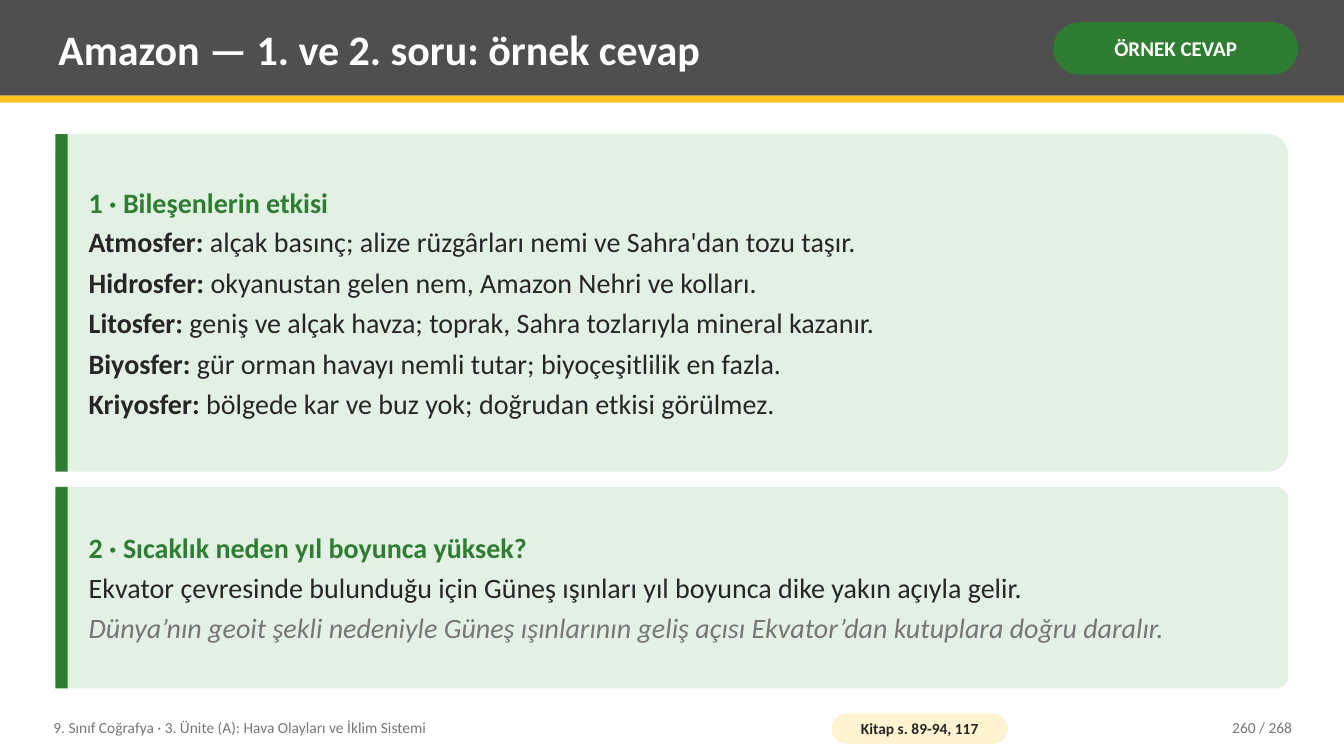
"""Build the sample-answer slide about the Amazon region."""
from lxml.etree import SubElement
from pptx import Presentation
from pptx.dml.color import RGBColor
from pptx.enum.shapes import MSO_SHAPE as Shape
from pptx.enum.text import MSO_ANCHOR as Anchor, MSO_AUTO_SIZE as AutoSize, PP_ALIGN as Align
from pptx.oxml.ns import qn
from pptx.util import Pt

WHITE = RGBColor(0xFF, 0xFF, 0xFF)
CHARCOAL = RGBColor(0x4F, 0x4F, 0x4F)
AMBER = RGBColor(0xFC, 0xC0, 0x21)
CREAM = RGBColor(0xFF, 0xF3, 0xD1)
GREEN = RGBColor(0x2E, 0x7D, 0x32)
MINT = RGBColor(0xE3, 0xF1, 0xE4)
INK = RGBColor(0x26, 0x26, 0x26)
GRAY = RGBColor(0x76, 0x76, 0x76)

HEADING = {"size": Pt(20), "bold": True, "color": GREEN}
LABEL = {"size": Pt(20), "bold": True, "color": INK}
PLAIN = {"size": Pt(20), "bold": False, "color": INK}
REMARK = {"size": Pt(20), "italic": True, "color": GRAY}
FOOTER = {"size": Pt(11), "color": GRAY}
TITLE = {"size": Pt(30), "bold": True, "color": WHITE}
BADGE = {"size": Pt(15), "bold": True, "color": WHITE}
PAGES = {"size": Pt(11), "bold": True, "color": INK}

SPHERES = [
    ("Atmosfer:", " alçak basınç; alize rüzgârları nemi ve Sahra'dan tozu taşır."),
    ("Hidrosfer:", " okyanustan gelen nem, Amazon Nehri ve kolları."),
    ("Litosfer:", " geniş ve alçak havza; toprak, Sahra tozlarıyla mineral kazanır."),
    ("Biyosfer:", " gür orman havayı nemli tutar; biyoçeşitlilik en fazla."),
    ("Kriyosfer:", " bölgede kar ve buz yok; doğrudan etkisi görülmez."),
]
COMPONENTS = [[("1 · Bileşenlerin etkisi", HEADING)]] + [
    [(label, LABEL), (effect, PLAIN)] for label, effect in SPHERES
]
TEMPERATURE = [
    [("2 · Sıcaklık neden yıl boyunca yüksek?", HEADING)],
    [("Ekvator çevresinde bulunduğu için Güneş ışınları yıl boyunca dike yakın açıyla gelir.", PLAIN)],
    [("Dünya’nın geoit şekli nedeniyle Güneş ışınlarının geliş açısı Ekvator’dan kutuplara doğru daralır.", REMARK)],
]


def add_block(box, color, radius=None):
    kind = Shape.RECTANGLE if radius is None else Shape.ROUNDED_RECTANGLE
    shape = slide.shapes.add_shape(kind, *map(Pt, box))
    if radius is not None:
        shape.adjustments[0] = radius
    shape.shadow.inherit = False
    shape.fill.solid()
    shape.fill.fore_color.rgb = color
    shape.line.fill.background()
    return shape


def write(shape, paragraphs, align=Align.LEFT, margins=(5.76, 2.88)):
    frame = shape.text_frame
    side, edge = map(Pt, margins)
    layout = {"word_wrap": True, "auto_size": AutoSize.NONE, "vertical_anchor": Anchor.MIDDLE,
              "margin_left": side, "margin_right": side, "margin_top": edge, "margin_bottom": edge}
    for name, value in layout.items():
        setattr(frame, name, value)
    for index, runs in enumerate(paragraphs):
        paragraph = frame.paragraphs[0] if index == 0 else frame.add_paragraph()
        properties = paragraph._p.get_or_add_pPr()
        properties.set("marL", "0")
        properties.set("indent", "0")
        SubElement(properties, qn("a:buNone"))
        paragraph.alignment = align
        paragraph.space_before = Pt(0)
        if index < len(paragraphs) - 1:
            paragraph.space_after = Pt(4 if index == 0 else 5)
        for text, formats in runs:
            run = paragraph.add_run()
            run.text = text
            run.font.name = "Calibri"
            for name, value in formats.items():
                if name == "color":
                    run.font.color.rgb = value
                else:
                    setattr(run.font, name, value)


presentation = Presentation()
presentation.slide_width, presentation.slide_height = Pt(960), Pt(540)
slide = presentation.slides.add_slide(presentation.slide_layouts[3])
title, *bodies = slide.placeholders

add_block((0, 0, 960, 68.4), CHARCOAL)
stripe = add_block((0, 68.4, 960, 5.04), AMBER)
title.left, title.top, title.width, title.height = map(Pt, (36, 5.04, 702, 59.04))
stripe.element.addnext(title.element)
write(title, [[("Amazon — 1. ve 2. soru: örnek cevap", TITLE)]])
badge = add_block((752.4, 15.84, 174.96, 37.44), GREEN, 0.5)
write(badge, [[("ÖRNEK CEVAP", BADGE)]], Align.CENTER, (3.6, 1.44))

cards = [(95.76, 241.2, COMPONENTS), (347.76, 144, TEMPERATURE)]
for body, (top, height, paragraphs) in zip(bodies, cards):
    add_block((39.6, top, 880.56, height), MINT, 0.06)
    accent = add_block((39.6, top, 8.64, height), GREEN)
    body.left, body.top, body.width, body.height = map(Pt, (57.6, top + 4.32, 855.36, height - 8.64))
    accent.element.addnext(body.element)
    write(body, paragraphs)

footers = [
    (32.4, 547.2, "9. Sınıf Coğrafya · 3. Ünite (A): Hava Olayları ve İklim Sistemi", Align.LEFT),
    (813.6, 115.2, "260 / 268", Align.RIGHT),
]
for left, width, text, align in footers:
    footer = slide.shapes.add_textbox(Pt(left), Pt(506.88), Pt(width), Pt(25.92))
    write(footer, [[(text, FOOTER)]], align)
book_pages = add_block((594, 509.76, 126, 21.6), CREAM, 0.5)
write(book_pages, [[("Kitap s. 89-94, 117", PAGES)]], Align.CENTER, (2.88, 0))

presentation.save("out.pptx")
